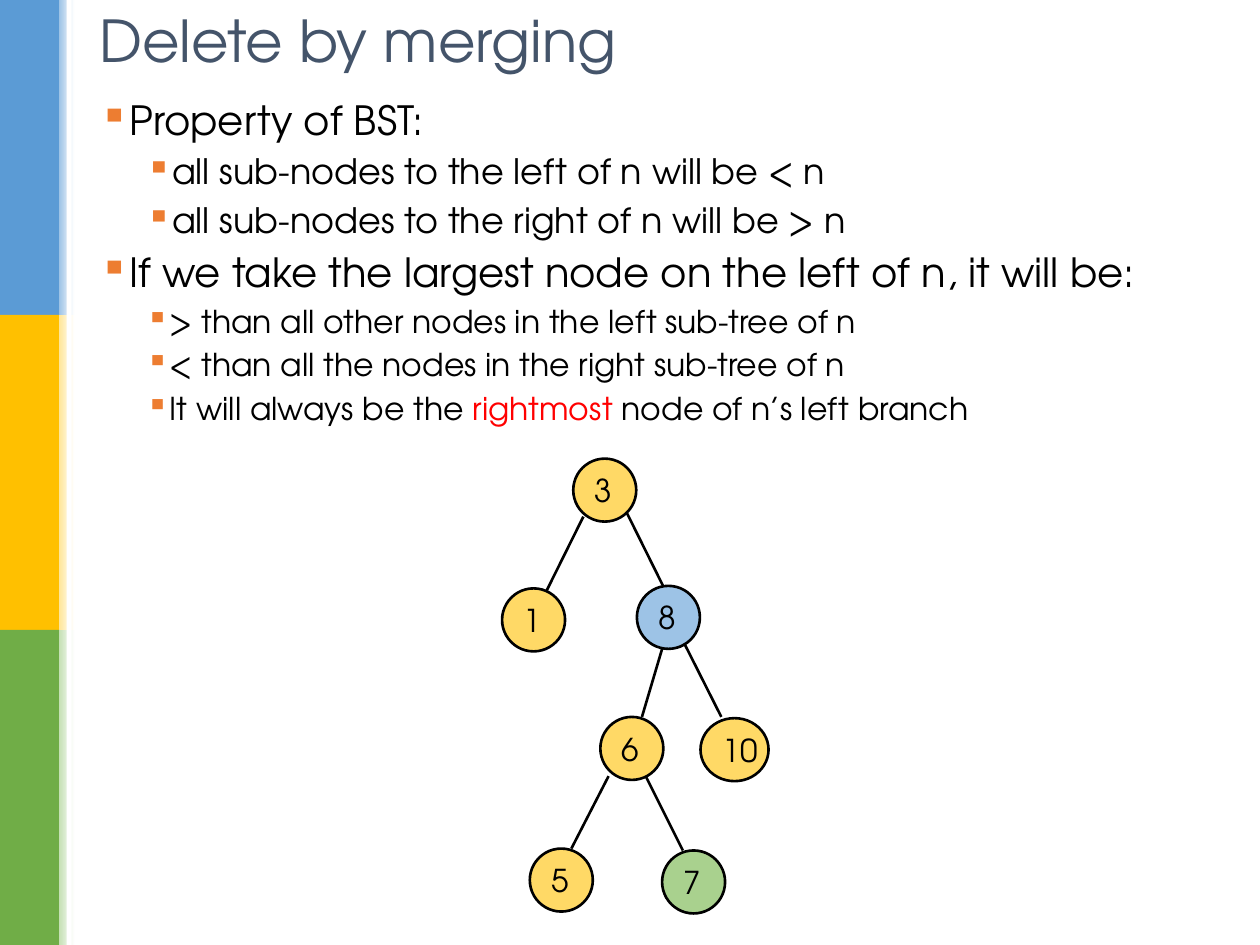
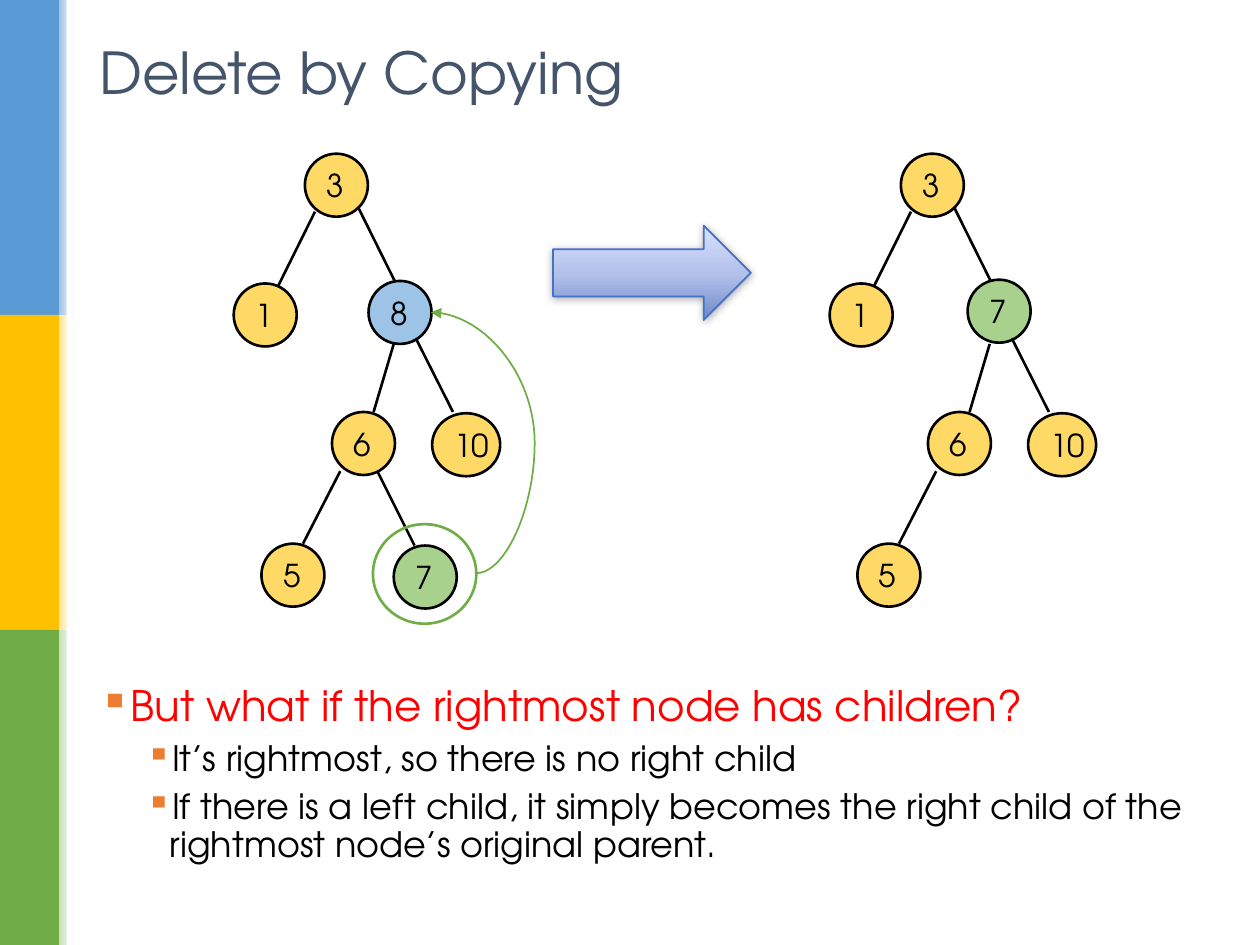
from dataclasses import dataclass

from lxml import etree
from pptx import Presentation
from pptx import util as u
from pptx.dml.color import RGBColor
from pptx.enum import shapes, text
from pptx.oxml.ns import qn

FONT = "TeX Gyre Adventor"
BLACK = RGBColor(0x00, 0x00, 0x00)
WHITE = RGBColor(0xFF, 0xFF, 0xFF)
RED = RGBColor(0xFF, 0x00, 0x00)
SLATE = RGBColor(0x44, 0x54, 0x6A)
ORANGE = RGBColor(0xED, 0x7D, 0x31)
BLUE = RGBColor(0x5B, 0x9B, 0xD5)
GOLD = RGBColor(0xFF, 0xC0, 0x00)
GREEN = RGBColor(0x70, 0xAD, 0x47)
LIGHT_BLUE = RGBColor(0x9D, 0xC3, 0xE6)
PALE_GOLD = RGBColor(0xFF, 0xE6, 0x99)
PALE_GREEN = RGBColor(0xC5, 0xE0, 0xB4)
NODE_YELLOW = RGBColor(0xFF, 0xD9, 0x66)
NODE_GREEN = RGBColor(0xA9, 0xD1, 0x8E)
ARROW_LINE = RGBColor(0x44, 0x72, 0xC4)
ARROW_STOPS = (
    (0, RGBColor(0x6D, 0x89, 0xCB)),
    (48, RGBColor(0xB2, 0xC0, 0xEA)),
    (100, RGBColor(0xD8, 0xE1, 0xFE)),
)

COLUMNS, ROWS = 100, 75
CELL = u.Inches(0.1)
BANDS = ((BLUE, LIGHT_BLUE), (GOLD, PALE_GOLD), (GREEN, PALE_GREEN))
BAND_ROWS = ROWS / len(BANDS)
TEXT_COLUMN = 6.9
NODE_SIZE = 5
INDENTS = (0.19, 0.56)
HANGING = 0.19


@dataclass(frozen=True)
class Box:
    column: float
    row: float
    columns: float
    rows: float

    def lengths(self) -> tuple[int, ...]:
        return tuple(cells(n) for n in (self.column, self.row, self.columns, self.rows))


@dataclass(frozen=True)
class Bullet:
    level: int
    size: int
    phrases: tuple[str, ...]
    colors: tuple[RGBColor, ...] = (BLACK,)


@dataclass(frozen=True)
class Node:
    label: str
    column: float
    row: float
    color: RGBColor = NODE_YELLOW
    columns: float = NODE_SIZE


@dataclass(frozen=True)
class Edge:
    start: tuple[float, float]
    end: tuple[float, float]


NODES = (
    Node("3", 0, 0),
    Node("1", -5.65, 10.3),
    Node("6", 2.15, 20.5),
    Node("10", 10.1, 20.6, columns=5.4),
    Node("5", -3.45, 30.95),
)
EDGES = (
    Edge((0.8, 4.6), (-2.1, 10.45)),
    Edge((4.2, 4.2), (7.1, 10.05)),
    Edge((8.8, 14.65), (11.75, 20.5)),
    Edge((7.05, 15.1), (5.45, 20.5)),
    Edge((2.8, 25.2), (-0.15, 30.95)),
)
DELETED = Node("8", 5.05, 10.1, LIGHT_BLUE)
RIGHTMOST = Node("7", 7.05, 31.1, NODE_GREEN)
PROMOTED = Node("7", 5.3, 10, NODE_GREEN)
RIGHTMOST_EDGE = Edge((5.75, 25.2), (8.7, 31.1))


def cells(count: float) -> int:
    return round(count * CELL)


def add_shape(slide, kind, box: Box, fill: RGBColor | None = None,
              line: RGBColor | None = None, width: float = 1.5):
    shape = slide.shapes.add_shape(kind, *box.lengths())
    shape.shadow.inherit = False
    if fill is None:
        shape.fill.background()
    else:
        shape.fill.solid()
        shape.fill.fore_color.rgb = fill
    if line is None:
        shape.line.fill.background()
    else:
        shape.line.color.rgb = line
        shape.line.width = u.Pt(width)
    return shape


def set_gradient(shape, stops, angle: float) -> None:
    shape.fill.gradient()
    shape.fill.gradient_angle = angle
    stop_list = next(shape._element.spPr.iter(qn("a:gsLst")))
    for stop in list(stop_list):
        stop_list.remove(stop)
    for position, color in stops:
        stop = etree.SubElement(stop_list, qn("a:gs"), pos=str(position * 1000))
        etree.SubElement(stop, qn("a:srgbClr"), val=str(color))


def add_shadow(shape) -> None:
    effects = shape._element.spPr.find(qn("a:effectLst"))
    shadow = etree.SubElement(
        effects, qn("a:outerShdw"), blurRad=str(u.Pt(5)), dist=str(u.Pt(1)),
        dir="5400000", algn="ctr", rotWithShape="0")
    color = etree.SubElement(shadow, qn("a:srgbClr"), val=str(BLACK))
    etree.SubElement(color, qn("a:alpha"), val="32000")


def add_connector(slide, kind, start, end, color: RGBColor, width: float):
    connector = slide.shapes.add_connector(kind, *(cells(n) for n in (*start, *end)))
    connector.line.color.rgb = color
    connector.line.width = u.Pt(width)
    etree.SubElement(connector._element.spPr, qn("a:effectLst"))
    return connector


def format_run(run, size: float, color: RGBColor) -> None:
    run.font.name = FONT
    run.font.size = u.Pt(size)
    run.font.color.rgb = color


def add_bands(slide) -> None:
    rectangle = shapes.MSO_SHAPE.RECTANGLE
    for index, (color, pale) in enumerate(BANDS):
        row = index * BAND_ROWS
        add_shape(slide, rectangle, Box(0, row, 4.7, BAND_ROWS), color)
        strip = add_shape(slide, rectangle, Box(4.7, row, 1.2, BAND_ROWS), pale)
        set_gradient(strip, ((0, pale), (100, WHITE)), 0)
    add_shape(slide, rectangle, Box(5.3, 0, 0.4, ROWS), WHITE)


def add_title(slide, title: str, row: float) -> None:
    shape = slide.shapes.add_textbox(*Box(TEXT_COLUMN, row, 86.2, 6.8).lengths())
    frame = shape.text_frame
    frame.word_wrap = True
    frame.vertical_anchor = text.MSO_ANCHOR.MIDDLE
    frame.text = title
    frame.paragraphs[0].line_spacing = 0.9
    format_run(frame.paragraphs[0].runs[0], 33, SLATE)


def set_bullet(paragraph, level: int) -> None:
    paragraph.level = level
    paragraph.line_spacing = 0.9
    properties = paragraph._p.get_or_add_pPr()
    properties.set("marL", str(u.Inches(INDENTS[level])))
    properties.set("indent", str(-u.Inches(HANGING)))
    before = etree.SubElement(properties, qn("a:spcBef"))
    etree.SubElement(before, qn("a:spcPct"), val="30000")
    color = etree.SubElement(properties, qn("a:buClr"))
    etree.SubElement(color, qn("a:srgbClr"), val=str(ORANGE))
    etree.SubElement(properties, qn("a:buChar"), char="▪")


def add_bullets(slide, row: float, rows: float, bullets: tuple[Bullet, ...]) -> None:
    shape = slide.shapes.add_textbox(*Box(TEXT_COLUMN, row, 90, rows).lengths())
    frame = shape.text_frame
    frame.word_wrap = True
    for index, bullet in enumerate(bullets):
        paragraph = frame.add_paragraph() if index else frame.paragraphs[0]
        set_bullet(paragraph, bullet.level)
        for phrase, color in zip(bullet.phrases, bullet.colors):
            run = paragraph.add_run()
            run.text = phrase
            format_run(run, bullet.size, color)


def add_node(slide, node: Node, column: float, row: float) -> None:
    box = Box(column + node.column, row + node.row, node.columns, NODE_SIZE)
    shape = add_shape(slide, shapes.MSO_SHAPE.OVAL, box, node.color, BLACK)
    frame = shape.text_frame
    frame.word_wrap = False
    frame.vertical_anchor = text.MSO_ANCHOR.MIDDLE
    frame.text = node.label
    paragraph = frame.paragraphs[0]
    paragraph.alignment = text.PP_ALIGN.LEFT
    format_run(paragraph.runs[0], 18, BLACK)


def add_tree(slide, column: float, row: float, nodes: tuple[Node, ...],
             edges: tuple[Edge, ...]) -> None:
    for node in nodes:
        add_node(slide, node, column, row)
    for edge in edges:
        start, end = ((column + x, row + y) for x, y in (edge.start, edge.end))
        add_connector(slide, shapes.MSO_CONNECTOR.STRAIGHT, start, end, BLACK, 1.5)


def add_copy_arrow(slide) -> None:
    connector = add_connector(
        slide, shapes.MSO_CONNECTOR.CURVE, (37.8, 45.5), (34.2, 24.8), GREEN, 1)
    adjustments = next(connector._element.spPr.iter(qn("a:avLst")))
    etree.SubElement(adjustments, qn("a:gd"), name="adj1", fmla="val -129100")
    line = connector._element.spPr.find(qn("a:ln"))
    etree.SubElement(line, qn("a:tailEnd"), type="triangle")


def add_result_arrow(slide) -> None:
    arrow = add_shape(slide, shapes.MSO_SHAPE.RIGHT_ARROW,
                      Box(43.9, 17.9, 15.7, 7.5), WHITE, ARROW_LINE, 1)
    set_gradient(arrow, ARROW_STOPS, 90)
    add_shadow(arrow)


def start_slide(presentation, title: str, title_row: float):
    slide = presentation.slides.add_slide(presentation.slide_layouts[6])
    add_bands(slide)
    add_title(slide, title, title_row)
    return slide


def build_merging(presentation) -> None:
    slide = start_slide(presentation, "Delete by merging", 0.1)
    add_bullets(slide, 7.5, 28.9, (
        Bullet(0, 23, ("Property of BST:",)),
        Bullet(1, 20, ("all sub-nodes to the left of n will be < n",)),
        Bullet(1, 20, ("all sub-nodes to the right of n will be > n",)),
        Bullet(0, 23, ("If we take the largest node on the left of n, it will be:",)),
        Bullet(1, 18, ("> than all other nodes in the left sub-tree of n",)),
        Bullet(1, 18, ("< than all the nodes in the right sub-tree of n",)),
        Bullet(1, 18, ("It will always be the ", "rightmost", " node of n’s left branch"),
               (BLACK, RED, BLACK)),
    ))
    add_tree(slide, 45.5, 36.4, (*NODES, DELETED, RIGHTMOST), (*EDGES, RIGHTMOST_EDGE))


def build_copying(presentation) -> None:
    slide = start_slide(presentation, "Delete by Copying", 2.6)
    add_bullets(slide, 53.9, 17.3, (
        Bullet(0, 24, ("But what if the rightmost node has children?",), (RED,)),
        Bullet(1, 20, ("It’s rightmost, so there is no right child",)),
        Bullet(1, 20, ("If there is a left child, it simply becomes the right child "
                       "of the rightmost node’s original parent.",)),
    ))
    add_tree(slide, 24.2, 12.2, (*NODES, DELETED, RIGHTMOST), (*EDGES, RIGHTMOST_EDGE))
    add_result_arrow(slide)
    add_tree(slide, 71.5, 12.2, (*NODES, PROMOTED), EDGES)
    add_shape(slide, shapes.MSO_SHAPE.OVAL, Box(29.6, 41.6, 8.2, 7.9), line=GREEN)
    add_copy_arrow(slide)


def main() -> None:
    presentation = Presentation()
    presentation.slide_width = COLUMNS * CELL
    presentation.slide_height = ROWS * CELL
    build_merging(presentation)
    build_copying(presentation)
    presentation.save("out.pptx")


main()
